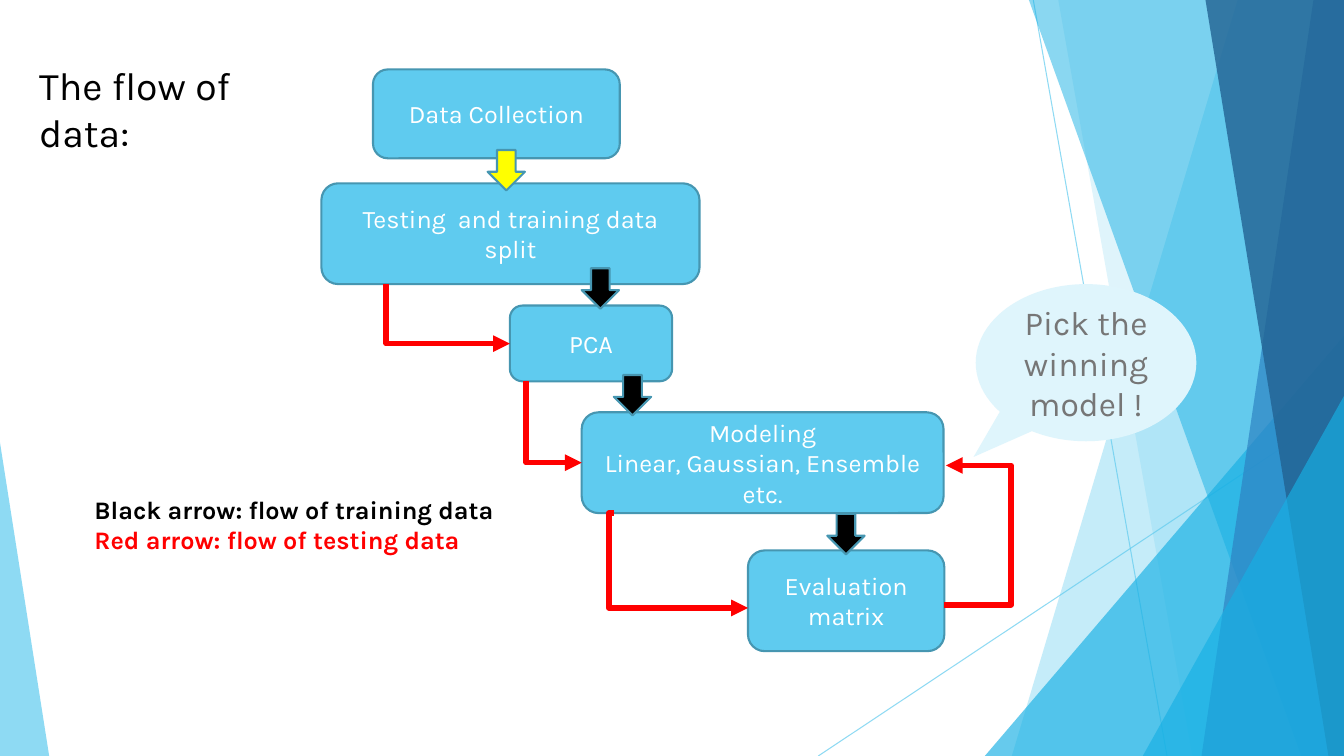
from dataclasses import dataclass

from lxml.etree import SubElement
from pptx import Presentation
from pptx.dml.color import RGBColor
from pptx.enum.shapes import MSO_CONNECTOR as Link, MSO_SHAPE as Preset
from pptx.enum.text import MSO_ANCHOR as Anchor, PP_ALIGN as Align
from pptx.oxml.ns import qn
from pptx.util import Cm, Pt


@dataclass(frozen=True)
class Theme:
    font: str = "Karla"
    sky: str = "5FCBEF"
    azure: str = "17B0E4"
    blue: str = "2E83C3"
    navy: str = "226292"
    outline: str = "4696B1"
    pale: str = "DFF5FC"
    grey: str = "767676"
    white: str = "FFFFFF"
    black: str = "000000"
    red: str = "FF0000"
    yellow: str = "FFFF00"
    title_size: int = 28
    callout_size: int = 24
    body_size: int = 18


class FlowPage:
    def __init__(self, page, theme):
        self.shapes = page.shapes
        self.theme = theme

    def paint(self, fill, color, alpha=100):
        fill.solid()
        fill.fore_color.rgb = RGBColor.from_string(color)
        if alpha < 100:
            node = fill._xPr.find(".//" + qn("a:srgbClr"))
            SubElement(node, qn("a:alpha"), val=str(alpha * 1000))

    def set_text(self, box, text, size, colors, bold=False, align=Align.CENTER):
        frame = box.text_frame
        frame.text = text
        frame.word_wrap = True
        for para, color in zip(frame.paragraphs, colors):
            para.alignment = align
            for run in para.runs:
                run.font.name = self.theme.font
                run.font.size = Pt(size)
                run.font.bold = bold
                run.font.color.rgb = RGBColor.from_string(color)

    def shape(self, preset, place, color, alpha=100, outlined=False):
        shape = self.shapes.add_shape(preset, *map(Cm, place))
        shape.shadow.inherit = False
        self.paint(shape.fill, color, alpha)
        if outlined:
            self.paint(shape.line.fill, self.theme.outline)
            shape.line.width = Pt(1.5)
        else:
            shape.line.fill.background()
        return shape

    def step(self, text, place):
        box = self.shape(Preset.ROUNDED_RECTANGLE, place, self.theme.sky, outlined=True)
        box.text_frame.vertical_anchor = Anchor.MIDDLE
        self.set_text(box, text, self.theme.body_size, [self.theme.white] * 2)

    def down_arrow(self, left, top, color):
        self.shape(Preset.DOWN_ARROW, (left, top, 0.94, 1.02), color, outlined=True)

    def callout(self, text, place, tail):
        bubble = self.shape(Preset.OVAL_CALLOUT, place, self.theme.pale)
        bubble.adjustments[0], bubble.adjustments[1] = tail
        bubble.text_frame.vertical_anchor = Anchor.MIDDLE
        self.set_text(bubble, text, self.theme.callout_size, [self.theme.grey])

    def triangle(self, place, apex, color, alpha):
        self.shape(Preset.ISOSCELES_TRIANGLE, place, color, alpha).adjustments[0] = apex

    def panel(self, top_left, bottom_left, color, alpha):
        builder = self.shapes.build_freeform(Cm(top_left), Cm(0))
        corners = [(WIDTH, 0), (WIDTH, HEIGHT), (bottom_left, HEIGHT)]
        builder.add_line_segments([(Cm(x), Cm(y)) for x, y in corners])
        panel = builder.convert_to_shape()
        panel.shadow.inherit = False
        self.paint(panel.fill, color, alpha)
        panel.line.fill.background()

    def connector(self, kind, start, end, color, width, alpha=100):
        connector = self.shapes.add_connector(kind, *map(Cm, start + end))
        self.paint(connector.line.fill, color, alpha)
        connector.line.width = Pt(width)
        SubElement(connector._element.spPr, qn("a:effectLst"))
        return connector

    def test_flow(self, start, end, bend):
        connector = self.connector(Link.ELBOW, start, end, self.theme.red, 4)
        properties = connector._element.spPr
        ratio = (bend - start[0]) / (end[0] - start[0])
        guides = properties.find(qn("a:prstGeom")).get_or_add_avLst()
        SubElement(guides, qn("a:gd"), name="adj1", fmla=f"val {round(ratio * 100000)}")
        SubElement(properties.find(qn("a:ln")), qn("a:tailEnd"), type="triangle")

    def label(self, text, place, size, colors, bold=False):
        box = self.shapes.add_textbox(*map(Cm, place))
        self.set_text(box, text, size, colors, bold, Align.LEFT)


WIDTH, HEIGHT = 33.87, 19.05
theme = Theme()
deck = Presentation()
deck.slide_width, deck.slide_height = Cm(WIDTH), Cm(HEIGHT)
flow = FlowPage(deck.slides.add_slide(deck.slide_layouts[6]), theme)

for start, end in [((26.04, 0), (29.41, HEIGHT)), ((WIDTH, 10.24), (20.62, HEIGHT))]:
    flow.connector(Link.STRAIGHT, start, end, theme.sky, 0.75, 70)
flow.panel(31.19, 25.5, theme.sky, 36)
flow.panel(26.67, 30.05, theme.sky, 20)
flow.triangle((24.82, 8.46, 9.05, 10.59), 1, theme.azure, 66)
flow.panel(25.93, 32.79, theme.azure, 50)
flow.panel(33.1, 30.28, theme.blue, 70)
flow.panel(30.38, 33.48, theme.navy, 80)
flow.triangle((28.8, 9.98, 5.07, 9.07), 1, theme.azure, 66)
flow.triangle((0, 11.15, 1.24, 7.9), 0, theme.sky, 70)

for text, place in [
    ("Data Collection", (9.4, 1.75, 6.22, 2.24)),
    ("Testing  and training data split", (8.1, 4.62, 9.53, 2.54)),
    ("PCA", (12.85, 7.7, 4.09, 1.91)),
    ("Modeling\nLinear, Gaussian, Ensemble etc.", (14.66, 10.39, 9.12, 2.54)),
    ("Evaluation matrix", (18.85, 13.87, 4.95, 2.54)),
]:
    flow.step(text, place)

flow.down_arrow(12.29, 3.78, theme.yellow)
for left, top in [(14.66, 6.76), (15.47, 9.45), (20.85, 12.95)]:
    flow.down_arrow(left, top, theme.black)

for start, end, bend in [
    ((9.73, 7.16), (12.85, 8.66), 9.73),
    ((13.26, 9.6), (14.66, 11.66), 13.26),
    ((15.47, 12.93), (18.85, 15.32), 15.34),
    ((23.8, 15.24), (23.84, 11.73), 25.48),
]:
    flow.test_flow(start, end, bend)

flow.callout("Pick the winning model !", (24.59, 7.16, 5.56, 3.96), (-0.51, 0.6))
flow.label("The flow of data:", (0.74, 1.42, 7.34, 1.45), theme.title_size, [theme.black])
flow.label(
    "Black arrow: flow of training data\nRed arrow: flow of testing data",
    (2.13, 12.32, 10.57, 1.8), theme.body_size, [theme.black, theme.red], bold=True,
)
deck.save("out.pptx")
